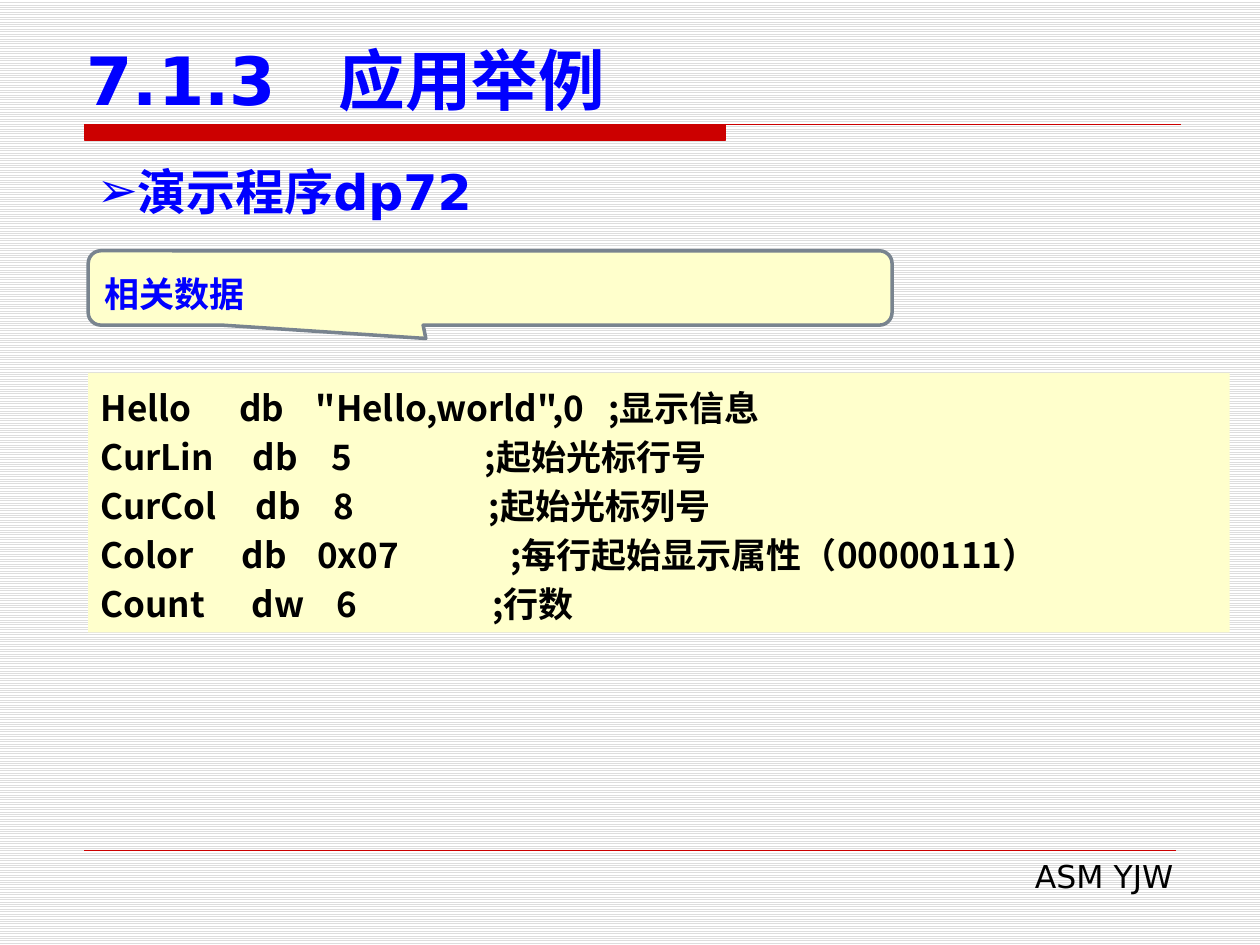
import pptx
import pptx.util
import pptx.dml.color
import pptx.enum.dml
import pptx.enum.shapes
import pptx.enum.text
import pptx.oxml.ns
import lxml.etree

Inches = pptx.util.Inches
Pt = pptx.util.Pt
ALIGN = pptx.enum.text.PP_ALIGN
ANCHOR = pptx.enum.text.MSO_ANCHOR
SHAPE = pptx.enum.shapes.MSO_SHAPE

COLORS = {"blue": "0000FF", "red": "CC0000", "cream": "FFFFCC", "slate": "79848F",
          "black": "000000", "stripe": "DDDDDD", "white": "FFFFFF"}
SANS, CJK = "DejaVu Sans", "Noto Sans CJK SC"

TITLE = {"size": Pt(38), "bold": True, "name": SANS}
TOPIC = {"size": Pt(28), "bold": True, "name": SANS}
BODY = {"size": Pt(20), "bold": True, "name": CJK}
FOOTER = {"size": Pt(18), "bold": False, "name": SANS}

# Each line of code: its fields, and the tab stops (inches) of the later fields
CODE = [
    (("Hello", "db", '"Hello,world",0', ";显示信息"), (1.1, 1.71, 4.03)),
    (("CurLin", "db", "5", ";起始光标行号"), (1.21, 1.83, 3.05)),
    (("CurCol", "db", "8", ";起始光标列号"), (1.23, 1.85, 3.08)),
    (("Color", "db", "0x07", ";每行起始显示属性（00000111）"), (1.12, 1.72, 3.25)),
    (("Count", "dw", "6", ";行数"), (1.2, 1.87, 3.11)),
]


def rgb(name):
    return pptx.dml.color.RGBColor.from_string(COLORS[name])


def add_child(parent, tag, **attributes):
    child = lxml.etree.SubElement(parent, pptx.oxml.ns.qn(tag))
    for key, value in attributes.items():
        child.set(key, str(value))
    return child


def write(para, text, look, color, tabs=(), bullet=None, **layout):
    """Fill one paragraph with a single formatted run."""
    for key, value in layout.items():
        setattr(para, key, value)
    properties = para._p.get_or_add_pPr()
    if bullet:
        add_child(properties, "a:buFont", typeface=SANS)
        add_child(properties, "a:buChar", char=bullet)
    if tabs:
        stops = add_child(properties, "a:tabLst")
        for stop in tabs:
            add_child(stops, "a:tab", pos=Inches(stop), algn="l")
    span = para.add_run()
    span.text = text
    for key, value in look.items():
        setattr(span.font, key, value)
    span.font.color.rgb = rgb(color)
    add_child(span.font._element, "a:ea", typeface=CJK)


def add_label(page, left, top, width, height, anchor=ANCHOR.TOP):
    box = page.shapes.add_textbox(Inches(left), Inches(top), Inches(width), Inches(height))
    box.text_frame.word_wrap = True
    box.text_frame.vertical_anchor = anchor
    return box.text_frame.paragraphs[0]


def add_panel(page, kind, left, top, width, height, anchor):
    panel = page.shapes.add_shape(kind, Inches(left), Inches(top), Inches(width), Inches(height))
    panel.shadow.inherit = False
    panel.fill.solid()
    panel.fill.fore_color.rgb = rgb("cream")
    panel.line.fill.background()
    panel.text_frame.word_wrap = True
    panel.text_frame.vertical_anchor = anchor
    return panel


def add_background(page):
    fill = page.background.fill
    fill.patterned()
    fill.pattern = pptx.enum.dml.MSO_PATTERN.LIGHT_HORIZONTAL
    fill.fore_color.rgb = rgb("stripe")
    fill.back_color.rgb = rgb("white")


def add_heading(page, left, top, width, height):
    # Title
    para = add_label(page, left, top, width, height, ANCHOR.BOTTOM)
    write(para, "7.1.3\t应用举例", TITLE, "blue", tabs=(2,))

    # Thick bar that runs on as a thin rule
    x, y = Inches(left + 0.08), Inches(top + height)
    bar_width, bar_height = Inches(5.09), Inches(0.12)
    outline = page.shapes.build_freeform(x, y)
    outline.add_line_segments([(x + bar_width, y), (x + bar_width, y + bar_height),
                               (x, y + bar_height)], close=True)
    outline.move_to(x, y)
    outline.add_line_segments([(x + Inches(8.7), y)], close=False)
    rule = outline.convert_to_shape()
    rule.shadow.inherit = False
    rule.fill.solid()
    rule.fill.fore_color.rgb = rgb("red")
    rule.line.color.rgb = rgb("red")
    rule.line.width = Pt(0.75)


def add_topic(page, left, top, width, height):
    para = add_label(page, left, top, width, height)
    write(para, "演示程序dp72", TOPIC, "blue", bullet="➢", alignment=ALIGN.JUSTIFY)


def add_callout(page, left, top, width, height):
    callout = add_panel(page, SHAPE.ROUNDED_RECTANGULAR_CALLOUT,
                        left, top, width, height, ANCHOR.MIDDLE)
    for index, value in enumerate((-0.08, 0.68, 0.17)):
        callout.adjustments[index] = value
    callout.line.color.rgb = rgb("slate")
    callout.line.width = Pt(2)
    write(callout.text_frame.paragraphs[0], "相关数据", BODY, "blue",
          alignment=ALIGN.LEFT, line_spacing=Pt(30))


def add_code(page, left, top, width, height):
    frame = add_panel(page, SHAPE.RECTANGLE, left, top, width, height, ANCHOR.TOP).text_frame
    for index, (fields, tabs) in enumerate(CODE):
        para = frame.add_paragraph() if index else frame.paragraphs[0]
        write(para, "\t".join(fields), BODY, "black", tabs=tabs,
              alignment=ALIGN.LEFT, line_spacing=Pt(28))


def add_footer(page, left, top, width, height):
    rule = page.shapes.add_connector(pptx.enum.shapes.MSO_CONNECTOR.STRAIGHT, Inches(left),
                                     Inches(top), Inches(left + width), Inches(top))
    rule.line.color.rgb = rgb("red")
    rule.line.width = Pt(0.25)
    add_child(rule._element.spPr, "a:effectLst")
    para = add_label(page, left + 3.15, top, width - 3.07, height)
    write(para, "ASM YJW", FOOTER, "black", alignment=ALIGN.RIGHT)


def main():
    deck = pptx.Presentation()
    deck.slide_width, deck.slide_height = Inches(10), Inches(7.5)
    page = deck.slides.add_slide(deck.slide_layouts[6])
    add_background(page)
    add_footer(page, 0.67, 6.75, 8.66, 0.4)
    add_heading(page, 0.59, 0.28, 9.06, 0.71)
    add_topic(page, 0.67, 1.23, 8.66, 0.57)
    add_callout(page, 0.7, 1.99, 6.38, 0.59)
    add_code(page, 0.7, 2.96, 9.06, 2.06)
    deck.save("out.pptx")


if __name__ == "__main__":
    main()
